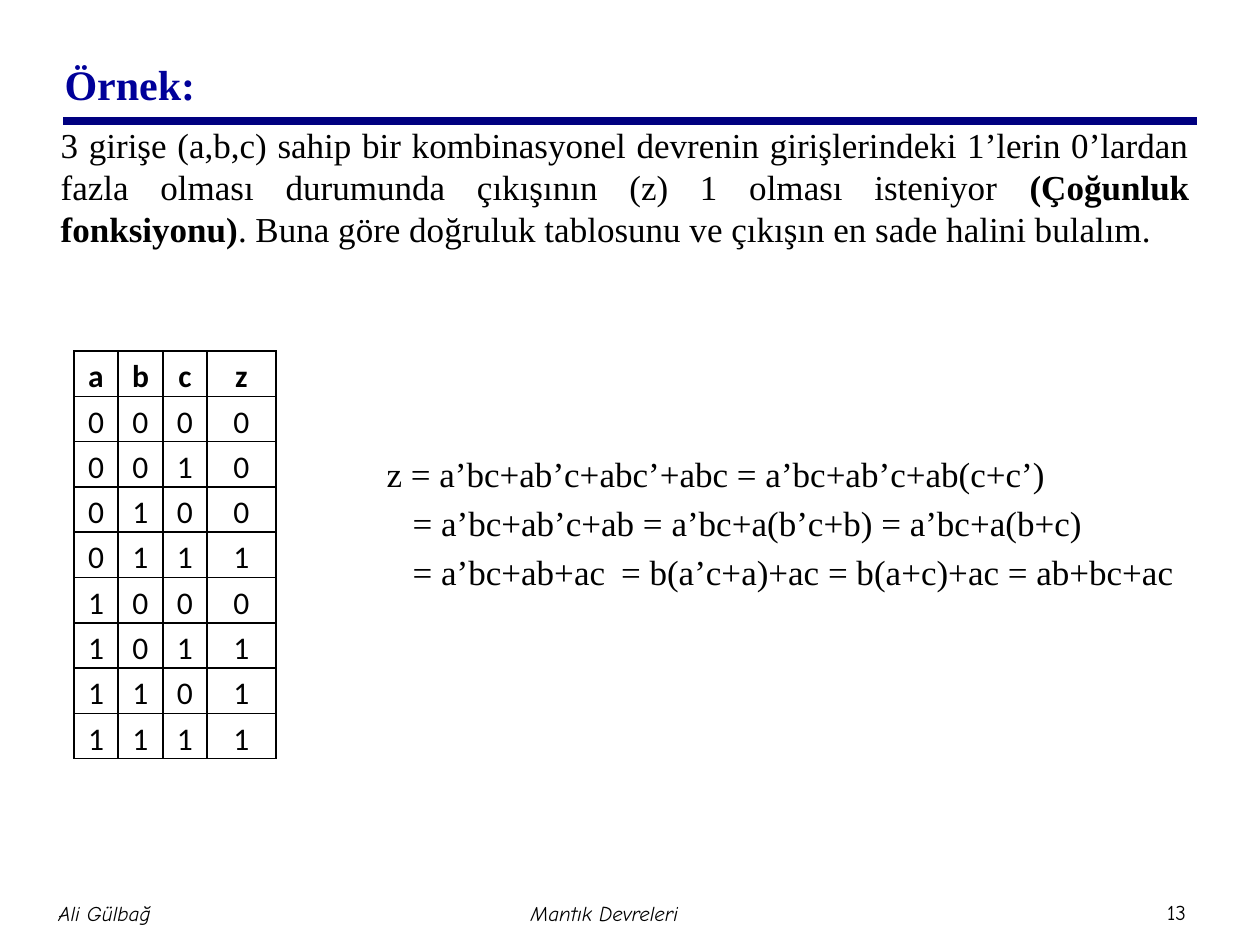
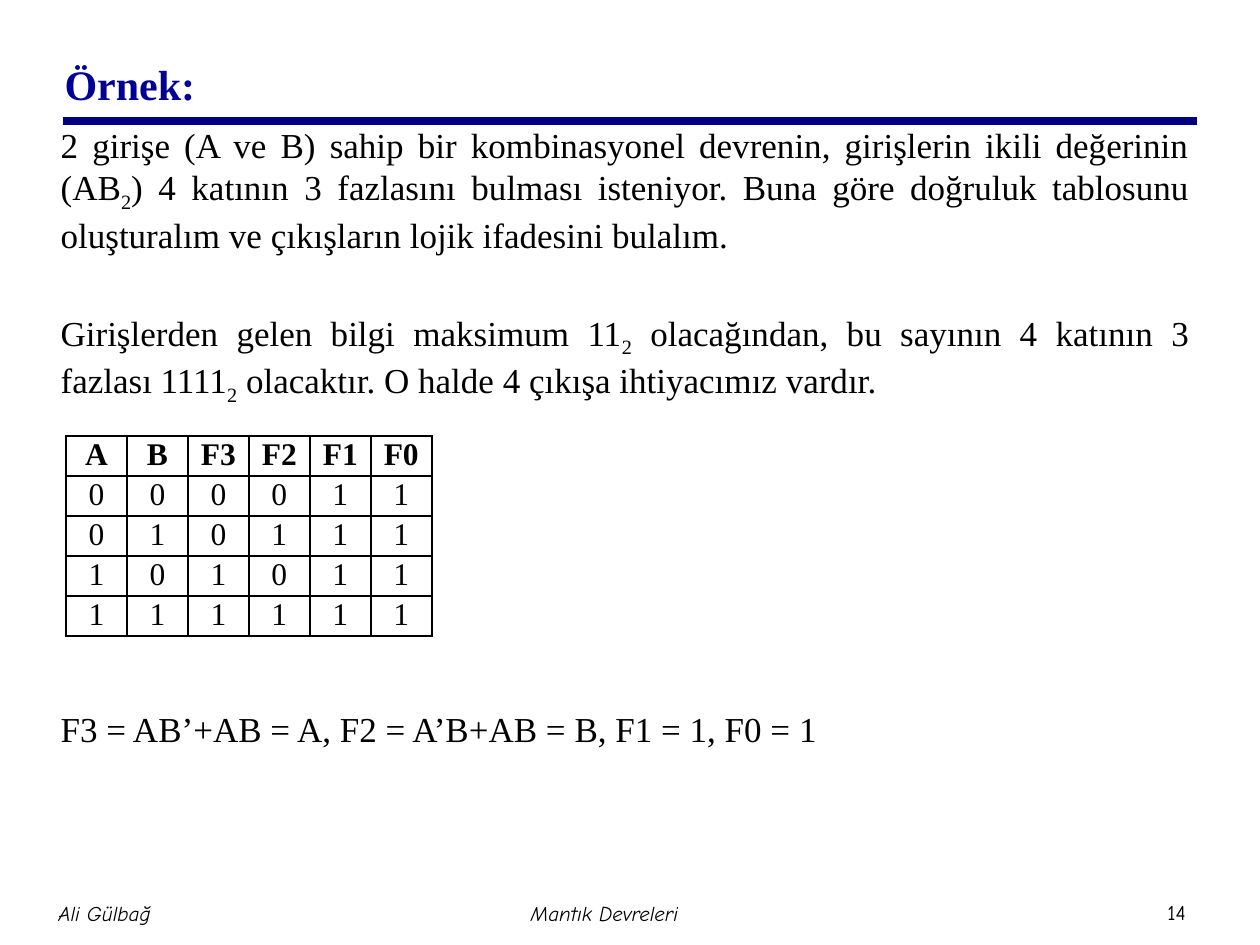
from dataclasses import dataclass

from lxml.etree import SubElement
from pptx import Presentation
from pptx.dml.color import RGBColor
from pptx.enum.shapes import MSO_CONNECTOR
from pptx.enum.text import MSO_ANCHOR, MSO_AUTO_SIZE, PP_ALIGN
from pptx.oxml.ns import qn
from pptx.util import Emu, Pt

PX_PER_INCH = 126
INK, TITLE_BLUE, RULE_BLUE = "000000", "000099", "000080"
SERIF, SANS, FOOTER_FONT = "Times New Roman", "Calibri", "Comic Neue"
NORMAL, BOLD, SUBSCRIPT, WIDE = "normal", "bold", "subscript", "wide"


@dataclass
class Passage:
    """A paragraph: (text, style) pieces, space before and left indent in px."""
    pieces: list[tuple[str, str]]
    before: int = 0
    indent: int = 0
    align: PP_ALIGN = PP_ALIGN.JUSTIFY


@dataclass
class TruthTable:
    left: int
    top: int
    columns: list[int]
    height: int
    rows: list[str]
    font: str
    line_spacing: float
    side_margin: int
    top_margin: int
    anchor: MSO_ANCHOR


@dataclass
class Example:
    number: int
    passages: list[Passage]
    table: TruthTable


@dataclass
class FooterPart:
    text: str
    left: int
    top: int
    width: int
    height: int
    italic: bool = True


def px(length: float) -> Emu:
    return Emu(round(length * 914400 / PX_PER_INCH))


def color(value: str) -> RGBColor:
    return RGBColor.from_string(value)


def place(shape, left: int, top: int, width: int, height: int) -> None:
    shape.left, shape.top = px(left), px(top)
    shape.width, shape.height = px(width), px(height)


def add_run(paragraph, text: str, font: str, size: int, ink: str = INK,
            bold: bool = False, italic: bool = False):
    run = paragraph.add_run()
    run.text = text
    run.font.name, run.font.size = font, Pt(size)
    run.font.bold, run.font.italic = bold, italic
    run.font.color.rgb = color(ink)
    return run


def add_title(slide) -> None:
    title = slide.shapes.title
    place(title, 52, 30, 1071, 108)
    frame = title.text_frame
    frame.auto_size = MSO_AUTO_SIZE.NONE
    frame.vertical_anchor = MSO_ANCHOR.MIDDLE
    heading = frame.paragraphs[0]
    heading.alignment = PP_ALIGN.LEFT
    add_run(heading, "Örnek:", SERIF, 24, TITLE_BLUE, bold=True)


def add_rule(slide) -> None:
    rule = slide.shapes.add_connector(
        MSO_CONNECTOR.STRAIGHT, px(63), px(121), px(1197), px(121))
    rule.line.color.rgb = color(RULE_BLUE)
    rule.line.width = Pt(4.5)
    SubElement(rule.element.spPr, qn("a:effectLst"))


def add_footer(slide, number: int) -> None:
    for part in (FooterPart("Ali Gülbağ", 0, 882, 209, 63),
                 FooterPart("Mantık Devreleri", 379, 882, 451, 63),
                 FooterPart(str(number), 1147, 893, 59, 38, italic=False)):
        box = slide.shapes.add_textbox(0, 0, 0, 0)
        place(box, part.left, part.top, part.width, part.height)
        frame = box.text_frame
        frame.word_wrap = True
        frame.vertical_anchor = MSO_ANCHOR.MIDDLE
        frame.margin_left = frame.margin_right = px(6)
        frame.margin_top = frame.margin_bottom = px(6)
        line = frame.paragraphs[0]
        line.alignment = PP_ALIGN.CENTER
        add_run(line, part.text, FOOTER_FONT, 12, italic=part.italic)


def add_body(slide, passages: list[Passage]) -> None:
    body = slide.placeholders[1]
    place(body, 48, 117, 1154, 732)
    frame = body.text_frame
    frame.auto_size = MSO_AUTO_SIZE.NONE
    for index, passage in enumerate(passages):
        paragraph = frame.add_paragraph() if index else frame.paragraphs[0]
        properties = paragraph._p.get_or_add_pPr()
        properties.set("marL", str(px(passage.indent)))
        properties.set("indent", "0")
        SubElement(properties, qn("a:buNone"))
        paragraph.alignment = passage.align
        paragraph.space_before = px(passage.before)
        for text, style in passage.pieces:
            run = add_run(paragraph, text, SERIF, 20, bold=style == BOLD)
            if style == SUBSCRIPT:
                run.font._element.set("baseline", "-25000")
            elif style == WIDE:
                run.font._element.set("spc", "400")


def add_borders(cell) -> None:
    properties = cell._tc.get_or_add_tcPr()
    for position, side in enumerate(("lnL", "lnR", "lnT", "lnB")):
        border = SubElement(properties, qn(f"a:{side}"), w=str(Pt(1)))
        fill = SubElement(border, qn("a:solidFill"))
        SubElement(fill, qn("a:srgbClr"), val=INK)
        properties.remove(border)
        properties.insert(position, border)


def add_truth_table(slide, truth: TruthTable) -> None:
    rows = [row.split() for row in truth.rows]
    table = slide.shapes.add_table(
        len(rows), len(truth.columns), px(truth.left), px(truth.top),
        px(sum(truth.columns)), px(truth.height)).table
    table.first_row = table.horz_banding = False
    for column, width in zip(table.columns, truth.columns):
        column.width = px(width)
    for r, row in enumerate(rows):
        table.rows[r].height = px(truth.height / len(rows))
        for c, value in enumerate(row):
            cell = table.cell(r, c)
            cell.fill.background()
            cell.margin_left = cell.margin_right = px(truth.side_margin)
            cell.margin_top, cell.margin_bottom = px(truth.top_margin), 0
            cell.vertical_anchor = truth.anchor
            entry = cell.text_frame.paragraphs[0]
            entry.alignment = PP_ALIGN.CENTER
            entry.line_spacing = truth.line_spacing
            add_run(entry, value, truth.font, 18, bold=r == 0)
            add_borders(cell)


# Majority function of three inputs
MAJORITY = Example(
    13,
    [
        Passage([
            ("3 girişe (a,b,c) sahip bir kombinasyonel devrenin girişlerindeki 1’lerin "
             "0’lardan fazla olması durumunda çıkışının (z) 1 olması isteniyor ", NORMAL),
            ("(Çoğunluk fonksiyonu)", BOLD),
            (". Buna göre doğruluk tablosunu ve çıkışın en sade halini bulalım.", NORMAL),
        ]),
        Passage([("z = a’bc+ab’c+abc’+abc = a’bc+ab’c+ab(c+c’)", NORMAL)],
                203, 326, PP_ALIGN.LEFT),
        Passage([("= a’bc+ab’c+ab = a’bc+a(b’c+b) = a’bc+a(b+c)", NORMAL)],
                7, 352, PP_ALIGN.LEFT),
        Passage([("= a’bc+ab+ac", NORMAL), (" ", WIDE),
                 ("= b(a’c+a)+ac = b(a+c)+ac = ab+bc+ac", NORMAL)],
                7, 352, PP_ALIGN.LEFT),
    ],
    TruthTable(74, 351, [44, 45, 44, 69], 408,
               ["a b c z", "0 0 0 0", "0 0 1 0", "0 1 0 0", "0 1 1 1",
                "1 0 0 0", "1 0 1 1", "1 1 0 1", "1 1 1 1"],
               SANS, 1.15, 6, 1, MSO_ANCHOR.MIDDLE),
)

# Four times the input plus three
FOUR_TIMES_PLUS_THREE = Example(
    14,
    [
        Passage([
            ("2 girişe (A ve B) sahip bir kombinasyonel devrenin, girişlerin ikili "
             "değerinin (AB", NORMAL),
            ("2", SUBSCRIPT),
            (") 4 katının 3 fazlasını bulması isteniyor. Buna göre doğruluk tablosunu "
             "oluşturalım ve çıkışların lojik ifadesini bulalım.", NORMAL),
        ]),
        Passage([
            ("Girişlerden gelen bilgi maksimum 11", NORMAL),
            ("2", SUBSCRIPT),
            (" olacağından, bu sayının 4 katının 3 fazlası 1111", NORMAL),
            ("2", SUBSCRIPT),
            (" olacaktır. O halde 4 çıkışa ihtiyacımız vardır.", NORMAL),
        ], 56),
        Passage([("F3 = AB’+AB = A, F2 = A’B+AB = B, F1 = 1, F0 = 1", NORMAL)], 301),
    ],
    TruthTable(66, 436, [61] * 6, 200,
               ["A B F3 F2 F1 F0", "0 0 0 0 1 1", "0 1 0 1 1 1",
                "1 0 1 0 1 1", "1 1 1 1 1 1"],
               SERIF, 1.05, 9, 0, MSO_ANCHOR.TOP),
)


def main() -> None:
    deck = Presentation()
    deck.slide_width, deck.slide_height = px(1260), px(945)
    for example in (MAJORITY, FOUR_TIMES_PLUS_THREE):
        slide = deck.slides.add_slide(deck.slide_layouts[1])
        add_rule(slide)
        add_footer(slide, example.number)
        add_title(slide)
        add_body(slide, example.passages)
        add_truth_table(slide, example.table)
    deck.save("out.pptx")


if __name__ == "__main__":
    main()
